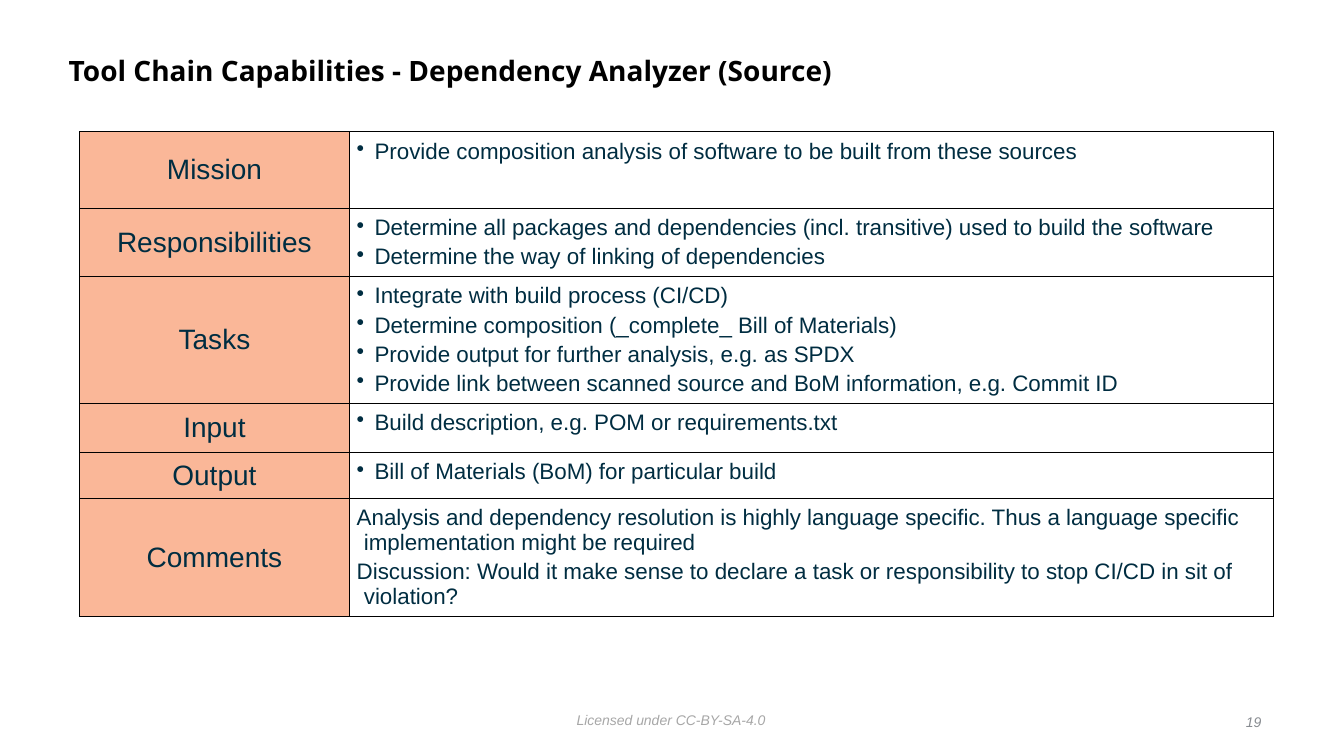
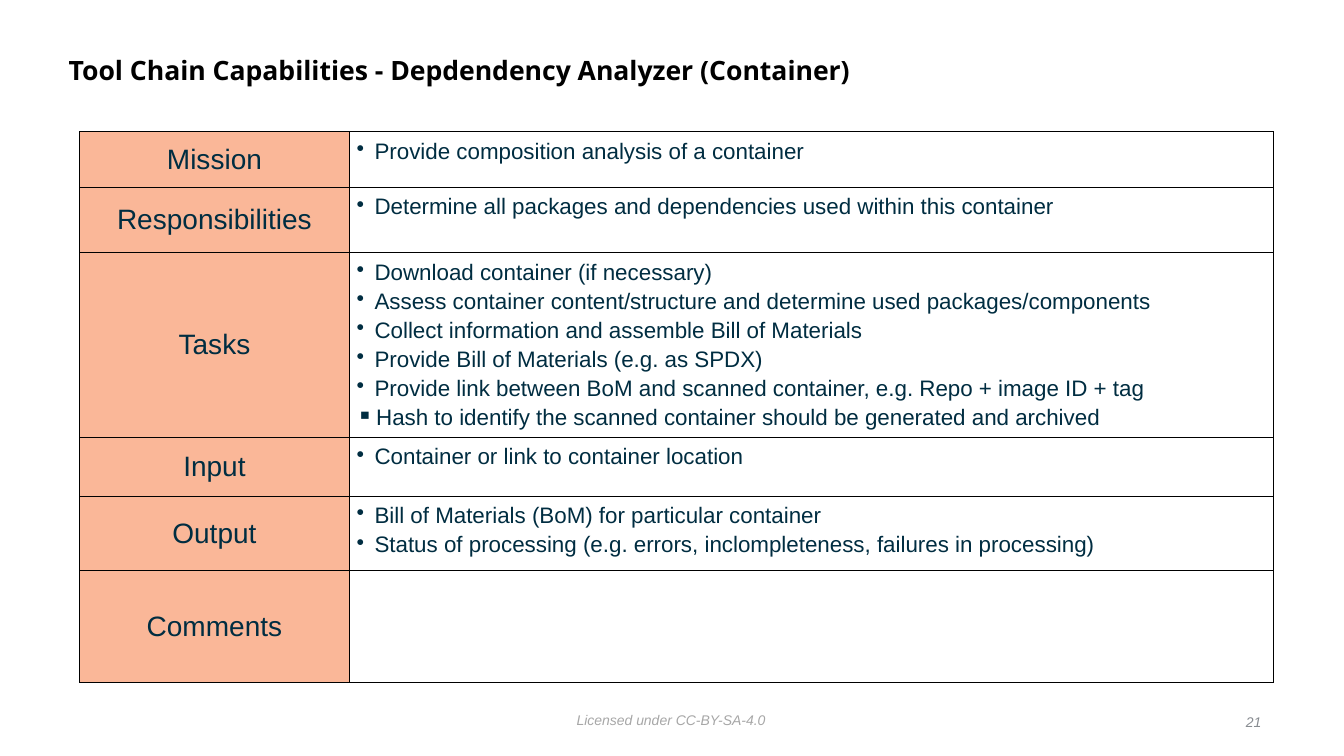
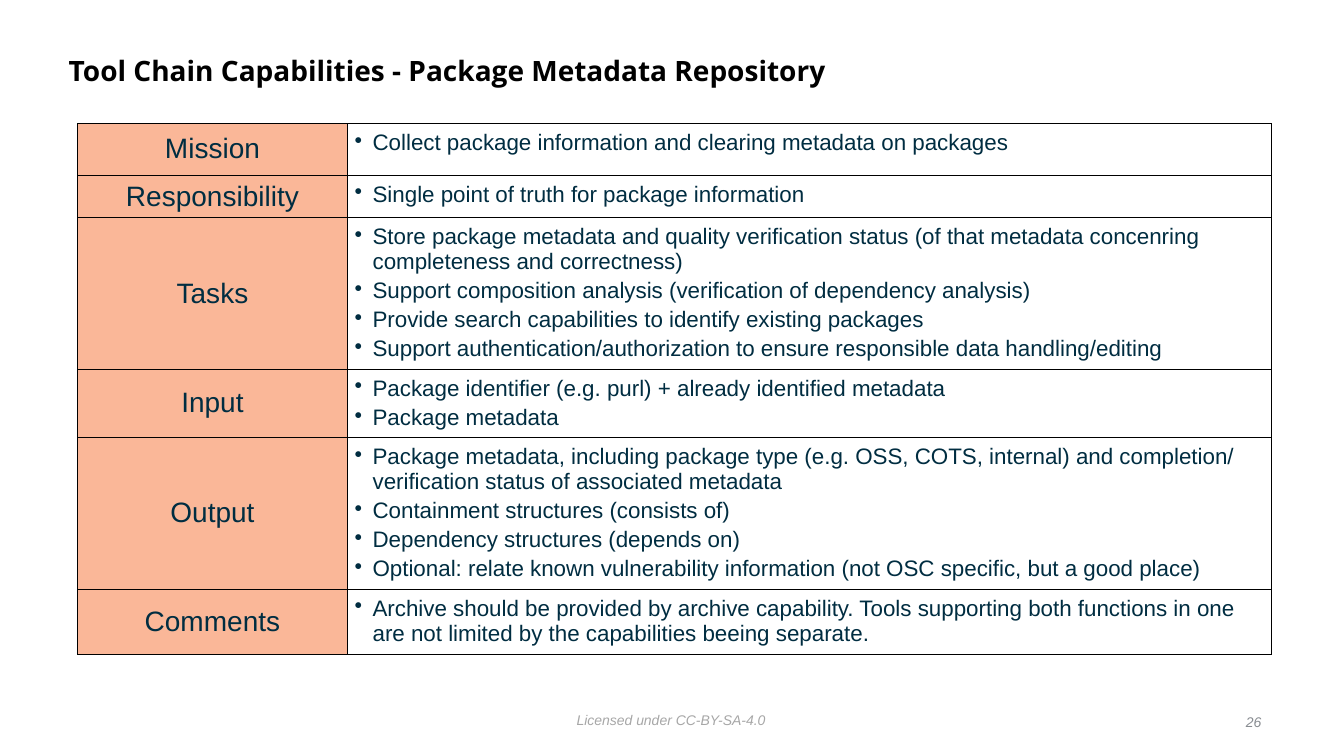
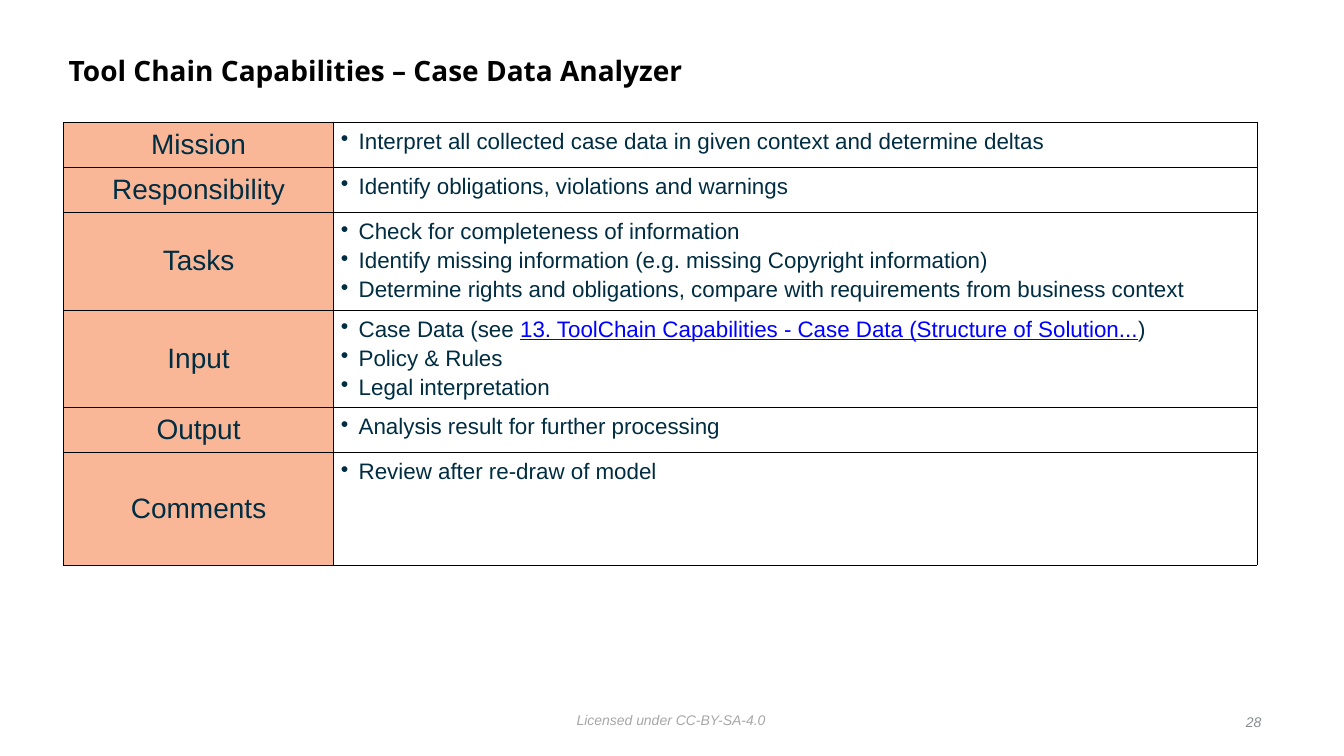
from dataclasses import dataclass
from typing import Any, NamedTuple

from lxml.etree import SubElement
from pptx import Presentation
from pptx.dml.color import RGBColor
from pptx.enum.text import MSO_ANCHOR as Anchor, MSO_AUTO_SIZE as AutoSize, PP_ALIGN as Align
from pptx.oxml.ns import qn
from pptx.util import Cm, Pt

BLACK = RGBColor(0x00, 0x00, 0x00)
WHITE = RGBColor(0xFF, 0xFF, 0xFF)
NAVY = RGBColor(0x00, 0x2D, 0x41)
PEACH = RGBColor(0xFA, 0xB7, 0x98)
LINK_BLUE = RGBColor(0x00, 0x00, 0xFF)
LICENSE_GREY = RGBColor(0xA7, 0xA7, 0xA7)
NUMBER_GREY = RGBColor(0x88, 0x8C, 0x91)

LABEL_FONT = {"name": "Arial", "size": Pt(20), "color": NAVY}
ENTRY_FONT = {"name": "Arial", "size": Pt(16), "color": NAVY}
LINK_FONT = ENTRY_FONT | {"color": LINK_BLUE, "underline": True}
LICENSE_FONT = {"name": "Arial", "size": Pt(10), "italic": True, "color": LICENSE_GREY}
NUMBER_FONT = LICENSE_FONT | {"color": NUMBER_GREY}
TITLE_FONT = {"name": "Open Sans", "bold": True, "color": BLACK}

COLUMN_WIDTHS = (6.81, 23.27)
ENTRY_MARGIN = 0.18
FRAME_MARGIN = 0.13


class Box(NamedTuple):
    left: float
    top: float
    width: float
    height: float


TITLE_BOX = Box(1.6, 0.99, 27.3, 1.65)
LICENSE_BOX = Box(14.4, 17.8, 5.05, 0.64)
NUMBER_BOX = Box(31.23, 17.86, 0.69, 0.64)


@dataclass(frozen=True)
class Entry:
    text: str
    bullet: str = "•"
    hanging: float = 0.45
    link: str = ""
    after_link: str = ""


@dataclass(frozen=True)
class Row:
    label: str
    height: float
    entries: tuple[Entry, ...] = ()


@dataclass(frozen=True)
class Page:
    number: int
    title: str
    left: float
    top: float
    rows: tuple[Row, ...]
    title_size: int = 20


def row(label: str, height: float, *entries: str | Entry) -> Row:
    return Row(label, height, tuple(
        Entry(entry) if isinstance(entry, str) else entry for entry in entries))


def note(text: str) -> Entry:
    return Entry(text, bullet="", hanging=0.18)


PAGES = (
    Page(19, "Tool Chain Capabilities - Dependency Analyzer (Source)", 2, 3.32, (
        row("Mission", 1.93,
            "Provide composition analysis of software to be built from these sources"),
        row("Responsibilities", 1.71,
            "Determine all packages and dependencies (incl. transitive) used to build the software",
            "Determine the way of linking of dependencies"),
        row("Tasks", 3.18,
            "Integrate with build process (CI/CD)",
            "Determine composition (_complete_ Bill of Materials)",
            "Provide output for further analysis, e.g. as SPDX",
            "Provide link between scanned source and BoM information, e.g. Commit ID"),
        row("Input", 1.24, "Build description, e.g. POM or requirements.txt"),
        row("Output", 1.16, "Bill of Materials (BoM) for particular build"),
        row("Comments", 2.95,
            note("Analysis and dependency resolution is highly language specific. "
                 "Thus a language specific implementation might be required"),
            note("Discussion: Would it make sense to declare a task or responsibility "
                 "to stop CI/CD in sit of violation?")),
    )),
    Page(21, "Tool Chain Capabilities - Depdendency Analyzer (Container)", 2, 3.32, (
        row("Mission", 1.4, "Provide composition analysis of a container"),
        row("Responsibilities", 1.65,
            "Determine all packages and dependencies used within this container"),
        row("Tasks", 4.64,
            "Download container (if necessary)",
            "Assess container content/structure and determine used packages/components",
            "Collect information and assemble Bill of Materials",
            "Provide Bill of Materials (e.g. as SPDX)",
            "Provide link between BoM and scanned container, e.g. Repo + image ID + tag",
            Entry("Hash to identify the scanned container should be generated and archived",
                  bullet="▪", hanging=0.49)),
        row("Input", 1.48, "Container or link to container location"),
        row("Output", 1.88,
            "Bill of Materials (BoM) for particular container",
            "Status of processing (e.g. errors, inclompleteness, failures in processing)"),
        row("Comments", 2.82),
    ), title_size=19),
    Page(26, "Tool Chain Capabilities - Package Metadata Repository", 1.95, 3.11, (
        row("Mission", 1.3, "Collect package information and clearing metadata on packages"),
        row("Responsibility", 1.07, "Single point of truth for package information"),
        row("Tasks", 3.82,
            "Store package metadata and quality verification status "
            "(of that metadata concenring completeness and correctness)",
            "Support composition analysis (verification of dependency analysis)",
            "Provide search capabilities to identify existing packages",
            "Support authentication/authorization to ensure responsible data handling/editing"),
        row("Input", 1.71,
            "Package identifier (e.g. purl) + already identified metadata",
            "Package metadata"),
        row("Output", 3.82,
            "Package metadata, including package type (e.g. OSS, COTS, internal) "
            "and completion/ verification status of associated metadata",
            "Containment structures (consists of)",
            "Dependency structures (depends on)",
            "Optional: relate known vulnerability information "
            "(not OSC specific, but a good place)"),
        row("Comments", 1.65,
            "Archive should be provided by archive capability. Tools supporting both "
            "functions in one are not limited by the capabilities beeing separate."),
    )),
    Page(28, "Tool Chain Capabilities – Case Data Analyzer", 1.6, 3.07, (
        row("Mission", 1.14,
            "Interpret all collected case data in given context and determine deltas"),
        row("Responsibility", 1.14, "Identify obligations, violations and warnings"),
        row("Tasks", 2.46,
            "Check for completeness of information",
            "Identify missing information (e.g. missing Copyright information)",
            "Determine rights and obligations, compare with requirements from business context"),
        row("Input", 2.46,
            Entry("Case Data (see ",
                  link="13. ToolChain Capabilities - Case Data (Structure of Solution...",
                  after_link=")"),
            "Policy & Rules",
            "Legal interpretation"),
        row("Output", 1.14, "Analysis result for further processing"),
        row("Comments", 2.83, "Review after re-draw of model"),
    )),
)


def add_span(para: Any, text: str, values: dict[str, Any]) -> None:
    span = para.add_run()
    span.text = text
    for name, value in values.items():
        if name == "color":
            span.font.color.rgb = value
        else:
            setattr(span.font, name, value)


def set_margins(target: Any, margin: float) -> None:
    for side in ("left", "top", "right", "bottom"):
        setattr(target, f"margin_{side}", Cm(margin))


def place(shape: Any, box: Box) -> None:
    for name, value in box._asdict().items():
        setattr(shape, name, Cm(value))


def add_caption(slide: Any, box: Box, text: str, values: dict[str, Any],
                align: Align, anchor: Anchor) -> Any:
    caption = slide.shapes.add_textbox(*map(Cm, box))
    frame = caption.text_frame
    frame.word_wrap = False
    frame.vertical_anchor = anchor
    set_margins(frame, FRAME_MARGIN)
    para = frame.paragraphs[0]
    para.alignment = align
    add_span(para, text, values)
    return caption


def share_license(slide: Any) -> None:
    """Move the licence line to the layout, so every slide shows it."""
    caption = add_caption(slide, LICENSE_BOX, "Licensed under CC-BY-SA-4.0",
                          LICENSE_FONT, Align.LEFT, Anchor.TOP)
    caption.element.xpath("./p:nvSpPr/p:cNvPr")[0].set("id", "99")
    slide.slide_layout.shapes.element.append(caption.element)


def fill_title(title: Any, page: Page) -> None:
    frame = title.text_frame
    frame.auto_size = AutoSize.NONE
    frame.vertical_anchor = Anchor.MIDDLE
    set_margins(frame, FRAME_MARGIN)
    para = frame.paragraphs[0]
    para.alignment = Align.LEFT
    para.line_spacing = 0.9
    add_span(para, page.title, TITLE_FONT | {"size": Pt(page.title_size)})


def style_cell(cell: Any, fill: RGBColor, margin: float, anchor: Anchor) -> None:
    set_margins(cell, margin)
    cell.vertical_anchor = anchor
    properties = cell._tc.get_or_add_tcPr()
    for side in "LRTB":
        line = SubElement(properties, qn(f"a:ln{side}"), w=str(Pt(0.5)))
        paint = SubElement(line, qn("a:solidFill"))
        SubElement(paint, qn("a:srgbClr"), val=str(BLACK))
    cell.fill.solid()
    cell.fill.fore_color.rgb = fill


def set_bullet(para: Any, entry: Entry) -> None:
    properties = para._p.get_or_add_pPr()
    properties.set("marL", str(Cm(entry.hanging)))
    properties.set("indent", str(-Cm(entry.hanging)))
    if entry.bullet:
        SubElement(properties, qn("a:buChar"), char=entry.bullet)
    else:
        SubElement(properties, qn("a:buNone"))


def fill_entries(cell: Any, entries: tuple[Entry, ...]) -> None:
    frame = cell.text_frame
    for index, entry in enumerate(entries):
        para = frame.add_paragraph() if index else frame.paragraphs[0]
        set_bullet(para, entry)
        if index:
            para.space_before = Pt(3)
        add_span(para, entry.text, ENTRY_FONT)
        if entry.link:
            add_span(para, entry.link, LINK_FONT)
            add_span(para, entry.after_link, ENTRY_FONT)


def add_capability_table(slide: Any, page: Page) -> None:
    box = Box(page.left, page.top, sum(COLUMN_WIDTHS), sum(line.height for line in page.rows))
    table = slide.shapes.add_table(len(page.rows), len(COLUMN_WIDTHS), *map(Cm, box)).table
    table.first_row = table.horz_banding = False
    for column, width in zip(table.columns, COLUMN_WIDTHS):
        column.width = Cm(width)
    for index, line in enumerate(page.rows):
        table.rows[index].height = Cm(line.height)
        label, content = table.cell(index, 0), table.cell(index, 1)
        style_cell(label, PEACH, 0, Anchor.MIDDLE)
        style_cell(content, WHITE, ENTRY_MARGIN, Anchor.TOP)
        para = label.text_frame.paragraphs[0]
        para.alignment = Align.CENTER
        add_span(para, line.label, LABEL_FONT)
        fill_entries(content, line.entries)


def main() -> None:
    deck = Presentation()
    deck.slide_width, deck.slide_height = Cm(33.87), Cm(19.05)
    layout = deck.slide_layouts.get_by_name("Title Only")
    place(layout.placeholders[0], TITLE_BOX)
    for page in PAGES:
        slide = deck.slides.add_slide(layout)
        if page is PAGES[0]:
            share_license(slide)
        fill_title(slide.shapes.title, page)
        add_capability_table(slide, page)
        add_caption(slide, NUMBER_BOX, str(page.number), NUMBER_FONT, Align.RIGHT, Anchor.MIDDLE)
    deck.save("out.pptx")


if __name__ == "__main__":
    main()
